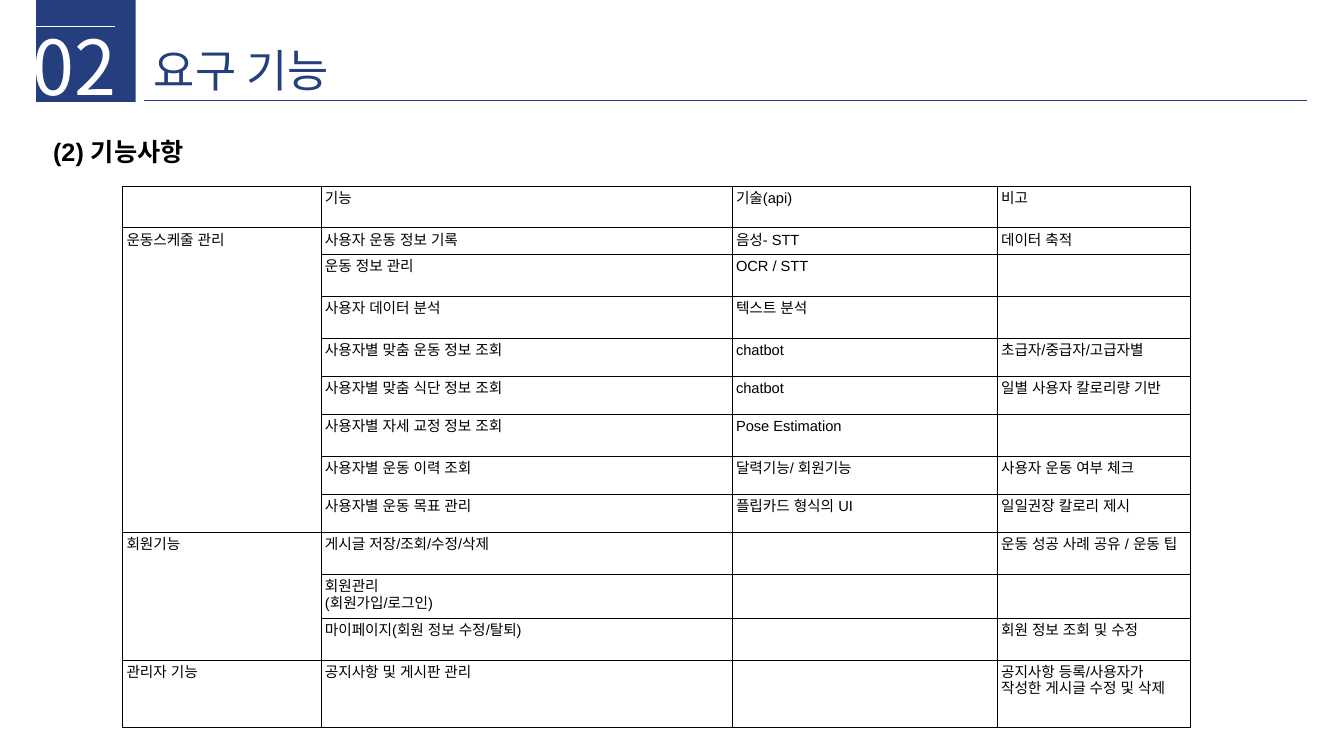
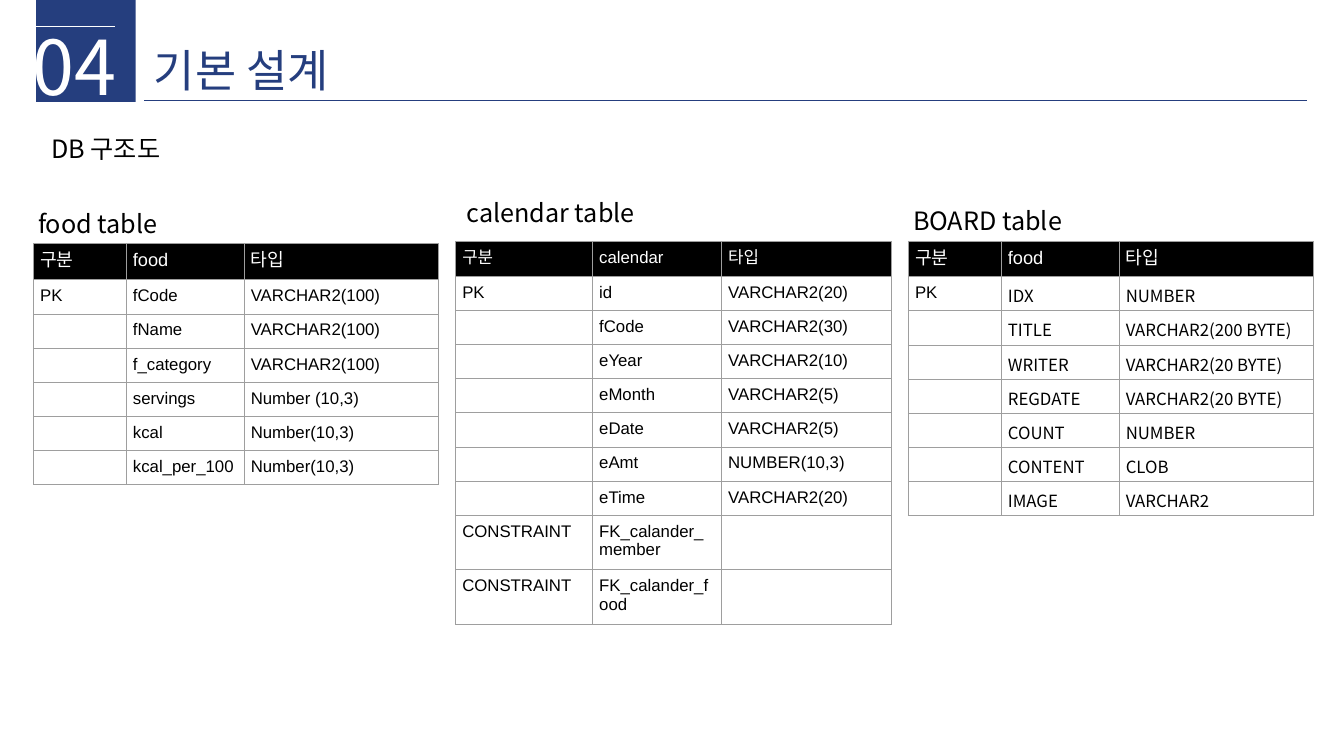
from lxml.etree import SubElement
from pptx import Presentation
from pptx.dml.color import RGBColor
from pptx.enum.shapes import MSO_CONNECTOR, MSO_SHAPE
from pptx.enum.text import MSO_ANCHOR
from pptx.oxml import parse_xml
from pptx.oxml.ns import nsdecls, qn
from pptx.util import Cm, Pt

NAVY = RGBColor(0x25, 0x3E, 0x7E)
WHITE = RGBColor(0xFF, 0xFF, 0xFF)
BLACK = RGBColor(0x00, 0x00, 0x00)
GRAY = RGBColor(0x9E, 0x9E, 0x9E)
SANS = "Noto Sans CJK KR"
ARIAL = "Arial"

FEATURE_HEADER = ("", "기능", "기술(api)", "비고")
FEATURES = {
    "운동스케줄 관리": [
        ("사용자 운동 정보 기록", "음성- STT", "데이터 축적"),
        ("운동 정보 관리", "OCR / STT", ""),
        ("사용자 데이터 분석", "텍스트 분석", ""),
        ("사용자별 맞춤 운동 정보 조회", "chatbot", "초급자/중급자/고급자별"),
        ("사용자별 맞춤 식단 정보 조회", "chatbot", "일별 사용자 칼로리량 기반"),
        ("사용자별 자세 교정 정보 조회", "Pose Estimation", ""),
        ("사용자별 운동 이력 조회", "달력기능/ 회원기능", "사용자 운동 여부 체크"),
        ("사용자별 운동 목표 관리", "플립카드 형식의 UI", "일일권장 칼로리 제시"),
    ],
    "회원기능": [
        ("게시글 저장/조회/수정/삭제", "", "운동 성공 사례 공유 / 운동 팁"),
        ("회원관리\n(회원가입/로그인)", "", ""),
        ("마이페이지(회원 정보 수정/탈퇴)", "", "회원 정보 조회 및 수정"),
    ],
    "관리자 기능": [
        ("공지사항 및 게시판 관리", "", "공지사항 등록/사용자가 작성한 게시글 수정 및 삭제"),
    ],
}
FEATURE_COLUMNS = (5, 10.36, 6.68, 4.86)
FEATURE_HEIGHTS = (1.04, 0.66, 1.06, 1.06, 0.96, 0.96, 1.06, 0.96, 0.96,
                   1.06, 1.1, 1.06, 1.7)

NARROW_COLUMNS = (2.34, 2.97, 4.9)
DB_TABLES = [
    {
        "label": "calendar table", "label_at": (11.51, 4.85), "at": (11.48, 6.08),
        "columns": (3.45, 3.25, 4.29), "header_size": 12, "header_height": 0.88,
        "field_font": ARIAL,
        "rows": [
            ("구분", "calendar", "타입"),
            ("PK", "id", "VARCHAR2(20)"),
            ("", "fCode", "VARCHAR2(30)"),
            ("", "eYear", "VARCHAR2(10)"),
            ("", "eMonth", "VARCHAR2(5)"),
            ("", "eDate", "VARCHAR2(5)"),
            ("", "eAmt", "NUMBER(10,3)"),
            ("", "eTime", "VARCHAR2(20)"),
            ("CONSTRAINT", "FK_calander_member", ""),
            ("CONSTRAINT", "FK_calander_food", ""),
        ],
    },
    {
        "label": "food table", "label_at": (0.71, 5.11), "at": (0.84, 6.14),
        "columns": NARROW_COLUMNS, "header_size": 13, "header_height": 0.91,
        "field_font": ARIAL,
        "rows": [
            ("구분", "food", "타입"),
            ("PK", "fCode", "VARCHAR2(100)"),
            ("", "fName", "VARCHAR2(100)"),
            ("", "f_category", "VARCHAR2(100)"),
            ("", "servings", "Number (10,3)"),
            ("", "kcal", "Number(10,3)"),
            ("", "kcal_per_100", "Number(10,3)"),
        ],
    },
    {
        "label": "BOARD table", "label_at": (22.76, 5.05), "at": (22.89, 6.08),
        "columns": NARROW_COLUMNS, "header_size": 13, "header_height": 0.89,
        "field_font": SANS,
        "rows": [
            ("구분", "food", "타입"),
            ("PK", "IDX", "NUMBER"),
            ("", "TITLE", "VARCHAR2(200 BYTE)"),
            ("", "WRITER", "VARCHAR2(20 BYTE)"),
            ("", "REGDATE", "VARCHAR2(20 BYTE)"),
            ("", "COUNT", "NUMBER"),
            ("", "CONTENT", "CLOB"),
            ("", "IMAGE", "VARCHAR2"),
        ],
    },
]
FIELD_HEIGHT = 0.86
CONSTRAINT_HEIGHT = 1.37

TITLE = {"size": Pt(32), "name": SANS, "color": NAVY}
NUMBER = {"size": Pt(54), "name": SANS, "color": WHITE}
SUBTITLE = {"size": Pt(18), "name": ARIAL, "color": BLACK, "bold": True}
LABEL = {"size": Pt(18), "name": SANS, "color": BLACK}
FEATURE = {"size": Pt(10.5), "name": ARIAL, "color": BLACK, "bold": False}
FIELD = {**FEATURE, "size": Pt(12)}


def style_run(run, look):
    for attribute, value in look.items():
        if attribute == "color":
            run.font.color.rgb = value
        else:
            setattr(run.font, attribute, value)
    SubElement(run.font._element, qn("a:ea"), typeface=look["name"])


def add_text(slide, text, box, look):
    frame = slide.shapes.add_textbox(*map(Cm, box)).text_frame
    frame.word_wrap = True
    frame.vertical_anchor = MSO_ANCHOR.MIDDLE
    run = frame.paragraphs[0].add_run()
    run.text = text
    style_run(run, look)


def add_rule(slide, left, right, top, color):
    rule = slide.shapes.add_connector(
        MSO_CONNECTOR.STRAIGHT, Cm(left), Cm(top), Cm(right), Cm(top))
    rule.line.color.rgb = color
    rule.line.width = Pt(0.5)
    SubElement(rule._element.spPr, qn("a:effectLst"))


def add_section_slide(deck, number, title):
    """Add a blank slide with the numbered navy band, title and rules."""
    slide = deck.slides.add_slide(deck.slide_layouts[6])
    band = slide.shapes.add_shape(
        MSO_SHAPE.RECTANGLE, Cm(0.91), Cm(0), Cm(2.51), Cm(2.57))
    band.shadow.inherit = False
    band.fill.solid()
    band.fill.fore_color.rgb = NAVY
    band.line.fill.background()
    add_rule(slide, 0.91, 2.9, 0.66, WHITE)
    add_rule(slide, 3.63, 32.94, 2.54, NAVY)
    add_text(slide, title, (3.63, 0.94, 15.24, 1.63), TITLE)
    add_text(slide, number, (0.58, 0.36, 6.65, 2.57), NUMBER)
    return slide


def outline_cell(cell, color, width):
    borders = cell._tc.get_or_add_tcPr()
    for index, side in enumerate(("lnL", "lnR", "lnT", "lnB")):
        borders.insert(index, parse_xml(
            f'<a:{side} {nsdecls("a")} w="{Pt(width)}"><a:solidFill>'
            f'<a:srgbClr val="{color}"/></a:solidFill></a:{side}>'))


def fill_cell(cell, text, look, inset, background):
    cell.margin_left = cell.margin_right = cell.margin_top = Cm(inset)
    cell.margin_bottom = 0
    if background is None:
        cell.fill.background()
    else:
        cell.fill.solid()
        cell.fill.fore_color.rgb = background
    cell.text = text
    for paragraph in cell.text_frame.paragraphs:
        for run in paragraph.runs:
            style_run(run, look)
        if not paragraph.runs:
            SubElement(paragraph._p, qn("a:endParaRPr"), sz=str(int(look["size"].pt * 100)))


def add_grid(slide, at, columns, heights, rows, border, inset, look_of):
    """Add a table; look_of(row, column) gives text look and background."""
    table = slide.shapes.add_table(
        len(rows), len(columns), *map(Cm, (*at, sum(columns), sum(heights)))).table
    table.first_row = table.horz_banding = False
    for column, width in zip(table.columns, columns):
        column.width = Cm(width)
    for row, height in zip(table.rows, heights):
        row.height = Cm(height)
    for r, texts in enumerate(rows):
        for c, text in enumerate(texts):
            look, background = look_of(r, c)
            fill_cell(table.cell(r, c), text, look, inset, background)
            outline_cell(table.cell(r, c), *border)
    return table


def build_features(deck):
    slide = add_section_slide(deck, "02", "요구 기능")
    add_text(slide, "(2) 기능사항", (1.09, 3.15, 24.2, 1.35), SUBTITLE)
    rows = [FEATURE_HEADER]
    spans = []
    for category, features in FEATURES.items():
        spans.append((len(rows), len(rows) + len(features) - 1))
        rows += [("" if i else category, *feature) for i, feature in enumerate(features)]
    table = add_grid(slide, (3.09, 4.7), FEATURE_COLUMNS, FEATURE_HEIGHTS, rows,
                     (BLACK, 0.67), 0.1, lambda r, c: (FEATURE, None))
    for first, last in spans:
        if last > first:
            table.cell(first, 0).merge(table.cell(last, 0))


def build_database(deck):
    slide = add_section_slide(deck, "04", "기본 설계")
    add_text(slide, "DB 구조도", (1.04, 3.23, 8, 1.02), LABEL)
    for entity in DB_TABLES:
        header = {**FIELD, "size": Pt(entity["header_size"]), "color": WHITE}
        field = {**FIELD, "name": entity["field_font"]}

        def look_of(r, c):
            if r == 0:
                return header, BLACK
            return (field if c else FIELD), None

        heights = [entity["header_height"]] + [
            CONSTRAINT_HEIGHT if row[0] == "CONSTRAINT" else FIELD_HEIGHT
            for row in entity["rows"][1:]]
        add_text(slide, entity["label"], (*entity["label_at"], 8, 1.02), LABEL)
        add_grid(slide, entity["at"], entity["columns"], heights, entity["rows"],
                 (GRAY, 0.5), 0.17, look_of)


def main():
    deck = Presentation()
    deck.slide_width, deck.slide_height = Cm(33.87), Cm(19.05)
    build_features(deck)
    build_database(deck)
    deck.save("out.pptx")


if __name__ == "__main__":
    main()
